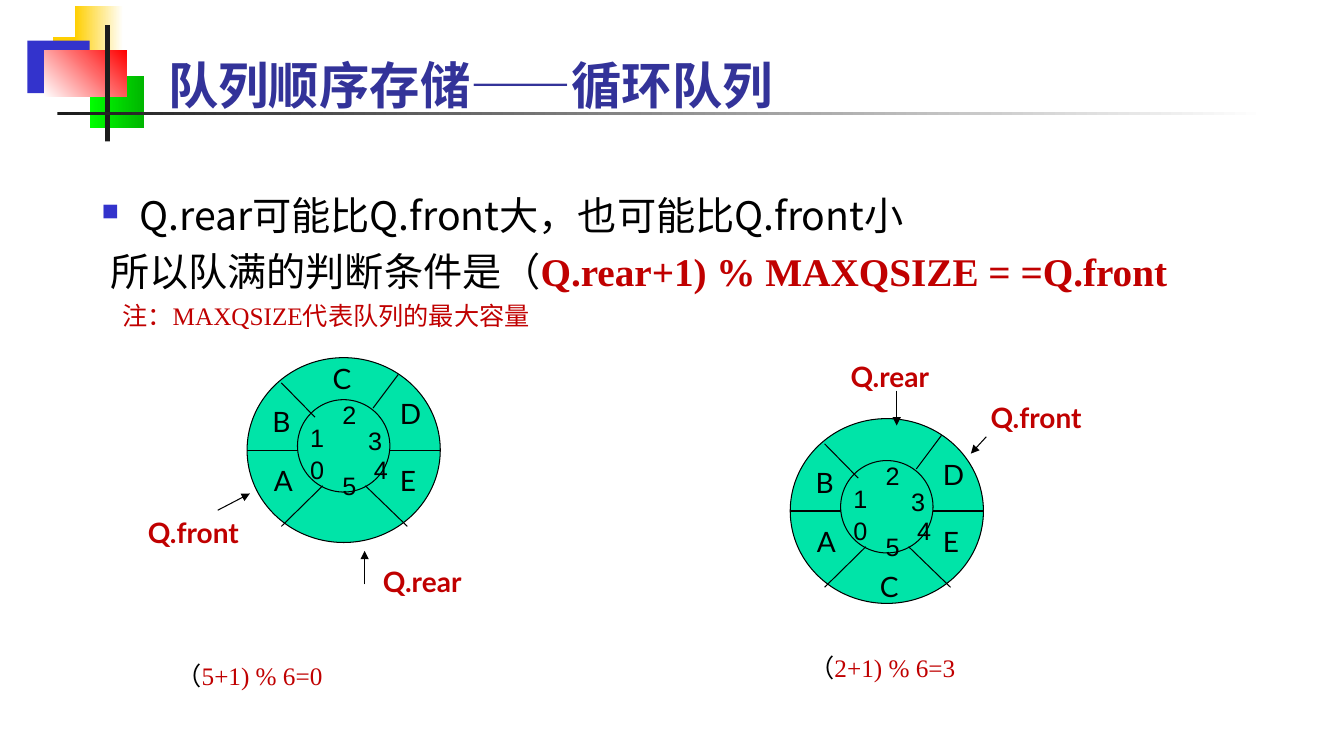
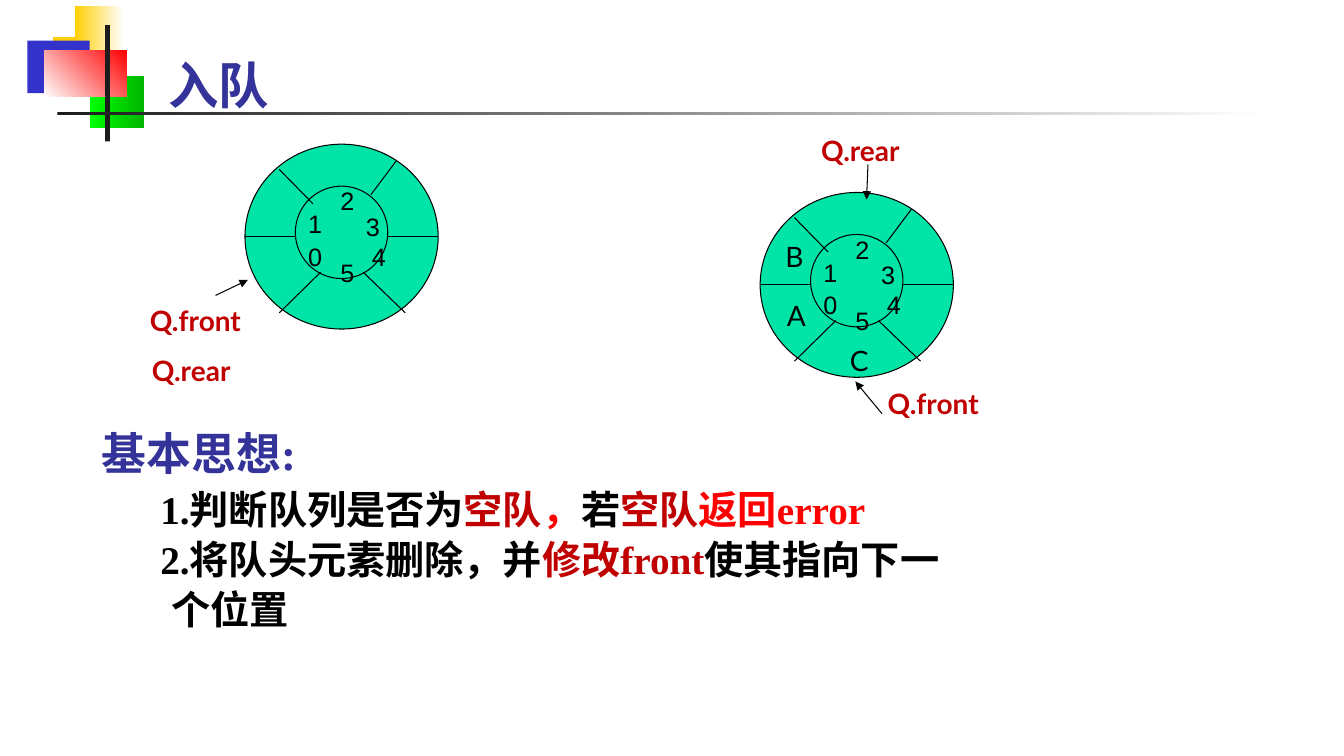
from dataclasses import dataclass
from typing import Optional

from lxml import etree
from pptx import Presentation
from pptx.dml.color import RGBColor
from pptx.enum import lang, shapes
from pptx.oxml import ns
from pptx.util import Pt

COLORS = {
    "black": "000000", "white": "FFFFFF", "ink": "1C1C1C", "gold": "FFCF01",
    "blue": "3333CC", "navy": "333399", "lime": "00FF00", "green": "00B600",
    "red": "FF0000", "crimson": "C00000", "mint": "00E4A8",
}
CJK, SERIF = "Noto Sans CJK SC", "Times New Roman"
HAIRLINE = 0.75


@dataclass
class Run:
    text: str
    color: Optional[str] = None
    font: Optional[str] = None
    bold: Optional[bool] = None


@dataclass
class Para:
    runs: list[Run]
    size: float
    font: str
    color: str = "black"
    bold: bool = False
    pitch: Optional[float] = None  # exact line height
    before: float = 0
    margin: float = 0
    indent: float = 0
    bullet: bool = False


@dataclass
class Block:
    left: float
    top: float
    width: float
    height: float
    color: str
    fade_to: Optional[str] = None
    angle: float = 0


@dataclass
class Pointer:
    name: str
    label: tuple[float, float]
    arrow: Optional[tuple[float, float, float, float]] = None


@dataclass
class Ring:
    left: float
    top: float
    elements: str  # one character per cell, blank when the cell is empty
    pointers: list[Pointer]


# Decoration shared by all slides
DECORATION = [
    Block(38, 26.5, 46, 37.5, "gold"),
    Block(53.5, 4.5, 34.5, 37.5, "gold", "white"),
    Block(19.5, 29, 44.5, 37.5, "blue"),
    Block(64, 54, 39, 37.5, "lime", "green"),
    Block(31.5, 36, 59, 33, "white", "red", 45),
    Block(75, 18, 3.5, 83, "ink"),
    Block(41, 80, 864, 2.5, "ink", "white"),
]

# Ring geometry, measured from the ring's top left corner
OUTER = (0, 0, 138, 132)
INNER = (36, 30, 66, 66)
SPOKES = [
    (0, 66, 36, 66), (102, 66, 138, 66), (24.5, 18, 48.5, 42.5),
    (84.5, 91.5, 114.5, 120.5), (108, 12, 90, 36), (54, 91.5, 24.5, 120.5),
]
ELEMENT_SPOTS = [(12, 72), (11, 30), (54, -1), (102, 24), (102, 72), (57, 104.5)]
INDEX_SPOTS = [(38, 65.5), (38, 42.5), (61, 26), (82, 44.5), (83.5, 65.5), (61, 77)]
INDEX_WIDTHS = [17, 17, 17, 11.5, 17, 17]


def rgb(name: str) -> RGBColor:
    return RGBColor.from_string(COLORS[name])


def add_block(slide, block: Block) -> None:
    shape = slide.shapes.add_shape(
        shapes.MSO_SHAPE.RECTANGLE,
        *map(Pt, (block.left, block.top, block.width, block.height)))
    shape.shadow.inherit = False
    shape.line.fill.background()
    if block.fade_to is None:
        shape.fill.solid()
        shape.fill.fore_color.rgb = rgb(block.color)
        return
    shape.fill.gradient()
    shape.fill.gradient_angle = block.angle
    for stop, color in zip(shape.fill.gradient_stops, (block.color, block.fade_to)):
        stop.color.rgb = rgb(color)


def add_square_bullet(properties) -> None:
    color = etree.SubElement(properties, ns.qn("a:buClr"))
    etree.SubElement(color, ns.qn("a:srgbClr"), val=COLORS["blue"])
    etree.SubElement(properties, ns.qn("a:buSzPct"), val="60000")
    etree.SubElement(properties, ns.qn("a:buChar"), char="■")


def fill_paragraph(paragraph, para: Para) -> None:
    properties = paragraph._p.get_or_add_pPr()
    properties.set("marL", str(Pt(para.margin)))
    properties.set("indent", str(Pt(para.indent)))
    if para.pitch:
        paragraph.line_spacing = Pt(para.pitch)
    if para.before:
        paragraph.space_before = Pt(para.before)
    if para.bullet:
        add_square_bullet(properties)
    font = paragraph.font
    font.name, font.size, font.bold = para.font, Pt(para.size), para.bold
    font.color.rgb = rgb(para.color)
    font.language_id = lang.MSO_LANGUAGE_ID.SIMPLIFIED_CHINESE
    etree.SubElement(properties.find(ns.qn("a:defRPr")), ns.qn("a:ea"), typeface=CJK)
    for part in para.runs:
        run = paragraph.add_run()
        run.text = part.text
        if part.color:
            run.font.color.rgb = rgb(part.color)
        if part.font:
            run.font.name = part.font
        if part.bold is not None:
            run.font.bold = part.bold


def add_text(parent, left: float, top: float, width: float, height: float,
             paras: list[Para]) -> None:
    frame = parent.add_textbox(*map(Pt, (left, top, width, height))).text_frame
    frame.word_wrap = True
    for number, para in enumerate(paras):
        fill_paragraph(frame.add_paragraph() if number else frame.paragraphs[0], para)


def add_line(parent, left: float, top: float,
             ends: tuple[float, float, float, float], arrow: bool = False) -> None:
    x1, y1, x2, y2 = ends
    line = parent.add_connector(
        shapes.MSO_CONNECTOR.STRAIGHT,
        Pt(left + x1), Pt(top + y1), Pt(left + x2), Pt(top + y2))
    line.line.color.rgb = rgb("black")
    line.line.width = Pt(HAIRLINE)
    properties = line._element.spPr
    if arrow:
        etree.SubElement(properties.find(ns.qn("a:ln")), ns.qn("a:tailEnd"),
                         type="triangle")
    etree.SubElement(properties, ns.qn("a:effectLst"))


def add_ring(slide, ring: Ring) -> None:
    parent = slide.shapes.add_group_shape().shapes
    left, top = ring.left, ring.top
    for x, y, width, height in (OUTER, INNER):
        circle = parent.add_shape(shapes.MSO_SHAPE.OVAL, Pt(left + x), Pt(top + y),
                                  Pt(width), Pt(height))
        circle.shadow.inherit = False
        circle.fill.solid()
        circle.fill.fore_color.rgb = rgb("mint")
        circle.line.color.rgb = rgb("black")
        circle.line.width = Pt(HAIRLINE)
    for spoke in SPOKES:
        add_line(parent, left, top, spoke)

    # Elements in the cells, then the cell indices
    for element, (x, y) in zip(ring.elements, ELEMENT_SPOTS):
        if element.strip():
            add_text(parent, left + x, top + y, 30, 31, [Para([Run(element)], 20, "Lato")])
    for index, ((x, y), width) in enumerate(zip(INDEX_SPOTS, INDEX_WIDTHS)):
        add_text(parent, left + x, top + y, width, 29,
                 [Para([Run(str(index))], 18, "Arial")])

    # Front and rear pointers
    for pointer in ring.pointers:
        x, y = pointer.label
        if pointer.arrow:
            add_line(parent, left, top, pointer.arrow, arrow=True)
        add_text(parent, left + x, top + y, 102, 31,
                 [Para([Run(pointer.name)], 20, "Lato", "crimson", True)])


def add_formula(slide, left: float, top: float, formula: str) -> None:
    add_text(slide.shapes, left, top, 125, 29,
             [Para([Run("（"), Run(formula, "crimson", SERIF)], 18, CJK, pitch=23)])


def add_slide(deck, title: str, rings: list[Ring]):
    slide = deck.slides.add_slide(deck.slide_layouts[6])
    for block in DECORATION:
        add_block(slide, block)
    add_text(slide.shapes, 113, 31, 479, 51,
             [Para([Run(title)], 36, "Arial Narrow", "navy", True, pitch=47)])
    for ring in rings:
        add_ring(slide, ring)
    return slide


def build_circular_queue(deck) -> None:
    slide = add_slide(deck, "队列顺序存储——循环队列", [
        Ring(176.5, 255.5, "ABCDE ", [
            Pointer("Q.rear", (90, 144), (84, 162, 84, 138)),
            Pointer("Q.front", (-78, 109), (-21, 109, 2, 97))]),
        Ring(564.5, 299, "AB DEC", [
            Pointer("Q.rear", (36, -46), (76, -20, 76, 5)),
            Pointer("Q.front", (136, -16.5), (140, 13, 129, 25))]),
    ])
    add_text(slide.shapes, 65.5, 130.5, 799, 90, [
        Para([Run("Q.rear可能比Q.front大，也可能比Q.front小")], 28, CJK, pitch=36,
             margin=27, indent=-27, bullet=True),
        Para([Run("所以队满的判断条件是（"),
              Run("Q.rear+1) % MAXQSIZE = =Q.front", "crimson", SERIF, True)],
             28, CJK, pitch=36, before=4.5, margin=6),
    ])
    add_text(slide.shapes, 71.3, 211, 317.5, 50, [
        Para([Run("注：MAXQSIZE代表队列的最大容量")], 18, SERIF, "crimson",
             pitch=21.4, indent=9)])
    add_formula(slide, 119, 466.5, "5+1) % 6=0")
    add_formula(slide, 571, 461, "2+1) % 6=3")


def build_queue_operation(deck) -> None:
    slide = add_slide(deck, "入队", [
        Ring(175, 103, "", [
            Pointer("Q.rear", (-73.5, 146)),
            Pointer("Q.front", (-75, 110), (-21, 108, 2, 97))]),
        Ring(543, 137.5, "AB   C", [
            Pointer("Q.rear", (36.5, -46), (77, -20, 76, 5)),
            Pointer("Q.front", (84, 135), (87, 158, 68, 135))]),
    ])
    step = {"size": 28, "font": SERIF, "bold": True, "pitch": 36}
    add_text(slide.shapes, 65.5, 303, 756, 154, [
        Para([Run("基本思想:")], 32, SERIF, "navy", True, pitch=36),
        Para([Run("1.判断队列是否为"), Run("空队", "crimson"), Run("，", "red"),
              Run("若"), Run("空队", "crimson"), Run("返回error", "red")],
             before=1.5, margin=42, **step),
        Para([Run("2.将队头元素删除，并"), Run("修改front", "crimson"),
              Run("使其指向下一")], margin=42, **step),
        Para([Run("个位置")], margin=50, **step),
    ])


def main() -> None:
    deck = Presentation()
    deck.slide_width, deck.slide_height = Pt(960), Pt(540)
    build_circular_queue(deck)
    build_queue_operation(deck)
    deck.save("out.pptx")


if __name__ == "__main__":
    main()
